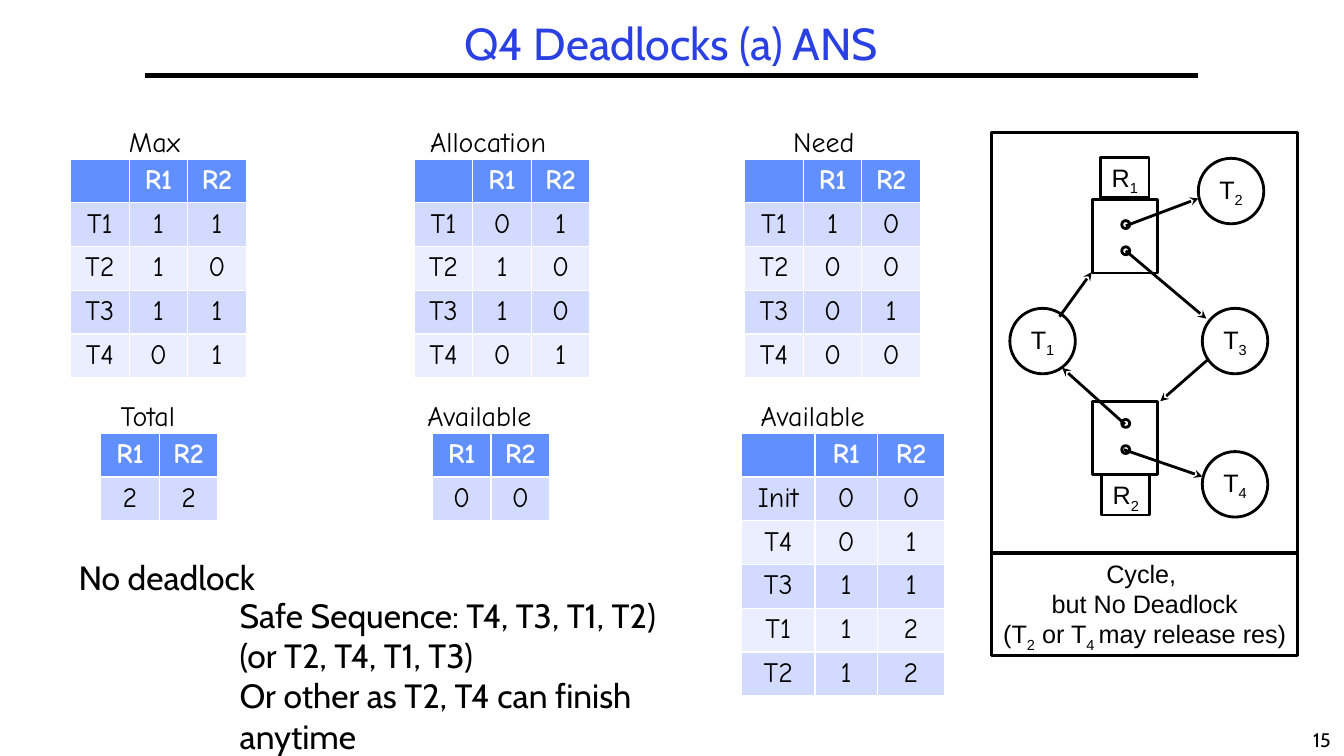
from lxml import etree
from pptx import Presentation
from pptx.dml.color import RGBColor
from pptx.enum.shapes import MSO_CONNECTOR, MSO_SHAPE
from pptx.enum.text import MSO_ANCHOR, PP_ALIGN
from pptx.oxml.ns import qn
from pptx.util import Cm, Pt

BLACK, WHITE, BLUE = "000000", "FFFFFF", "2A40E2"
HEAD, BANDS = "618FFD", ("D2DBFE", "EAEEFF")
HAND, SANS, PLAIN = "Comic Neue", "Cabin", "Arial"

TITLE = "Q4 Deadlocks (a) ANS"
ANSWER = "No deadlock"
ORDERS = [
    "Safe Sequence: T4, T3, T1, T2)",
    "(or T2, T4, T1, T3)",
    "Or other as T2, T4 can finish anytime",
]
CAPTION = ["Cycle, ", "but No Deadlock", "(T|2| or T|4 |may release res)"]

COL, TOP, LOW = 1.475, 4.01, 10.92
TABLES = [
    (1.78, TOP, 1.07, [COL] * 3,
     [" R1 R2", "T1 1 1", "T2 1 0", "T3 1 1", "T4 0 1"]),
    (10.44, TOP, 1.1, [COL] * 3,
     [" R1 R2", "T1 0 1", "T2 1 0", "T3 1 0", "T4 0 1"]),
    (18.77, TOP, 1.1, [COL] * 3,
     [" R1 R2", "T1 1 0", "T2 0 0", "T3 0 1", "T4 0 0"]),
    (2.54, LOW, 1.07, [COL] * 2, ["R1 R2", "2 2"]),
    (10.9, LOW, 1.1, [COL] * 2, ["R1 R2", "0 0"]),
    (18.69, LOW, 1.1, [1.85, 1.57, 1.7],
     [" R1 R2", "Init 0 0", "T4 0 1", "T3 1 1", "T1 1 2", "T2 1 2"]),
]
LABELS = [
    ("Max", 3.0, 3.02, 1.93), ("Allocation", 10.59, 3.02, 3.81),
    ("Need", 19.74, 3.02, 2.29), ("Total", 2.79, 9.91, 2.26),
    ("Available", 10.52, 9.91, 3.53), ("Available", 18.92, 9.91, 3.53),
]

FRAME, NOTE = (24.99, 3.33, 7.72, 10.59), (24.99, 13.94, 7.72, 2.57)
TASKS = [("T|1", 25.45, 7.77), ("T|2", 30.2, 3.99),
         ("T|3", 30.3, 7.77), ("T|4", 30.3, 11.38)]
STORES = [("R|1", 27.74, 3.96, 5.03, (5.56, 6.22)),
          ("R|2", 27.76, 11.96, 10.11, (10.57, 11.23))]
ARROWS = [
    (26.7, 7.98, 27.51, 6.86), (28.35, 10.69, 26.77, 9.27),
    (28.32, 11.33, 30.3, 12.01), (30.43, 9.07, 29.24, 10.11),
    (28.37, 6.32, 30.4, 8.03), (28.37, 5.69, 30.2, 5.0),
]

deck = Presentation()
deck.slide_width, deck.slide_height = Cm(33.87), Cm(19.05)
slide = deck.slides.add_slide(deck.slide_layouts[6])
shapes = slide.shapes


def paint(target, color):
    if hasattr(target, "solid"):
        target.solid()
        target.fore_color.rgb = RGBColor.from_string(color)
    else:
        target.rgb = RGBColor.from_string(color)


def write(frame, lines, face, size, color=BLACK, align=PP_ALIGN.CENTER, bold=False):
    for i, line in enumerate(lines):
        para = frame.add_paragraph() if i else frame.paragraphs[0]
        for j, part in enumerate(line.split("|")):
            if part:
                run = para.add_run()
                run.text = part
                if j % 2:
                    run._r.get_or_add_rPr().set("baseline", "-25000")
        para.alignment = align
        font = para.font
        font.name, font.size, font.bold = face, Pt(size), bold
        paint(font.color, color)


def label(lines, box, face, size, wrap=False, **look):
    frame = shapes.add_textbox(*map(Cm, box)).text_frame
    frame.word_wrap = wrap
    write(frame, lines, face, size, **look)
    return frame


def block(kind, box, lines=(), anchor=MSO_ANCHOR.MIDDLE):
    shape = shapes.add_shape(kind, *map(Cm, box))
    shape.shadow.inherit = False
    paint(shape.fill, WHITE)
    paint(shape.line.color, BLACK)
    shape.line.width = Pt(2)
    frame = shape.text_frame
    frame.word_wrap = False
    frame.vertical_anchor = anchor
    write(frame, lines, PLAIN, 18)


def link(ends, width, arrow=True):
    line = shapes.add_connector(MSO_CONNECTOR.STRAIGHT, *map(Cm, ends))
    paint(line.line.color, BLACK)
    line.line.width = Pt(width)
    props = line._element.spPr
    if arrow:
        etree.SubElement(props.find(qn("a:ln")), qn("a:tailEnd"), type="stealth")
    etree.SubElement(props, qn("a:effectLst"))


def grid(left, top, high, widths, rows):
    table = shapes.add_table(len(rows), len(widths), Cm(left), Cm(top),
                             Cm(sum(widths)), Cm(high * len(rows))).table
    for col, width in zip(table.columns, widths):
        col.width = Cm(width)
    for r, row in enumerate(rows):
        table.rows[r].height = Cm(high)
        for c, text in enumerate(row.split(" ")):
            cell = table.cell(r, c)
            paint(cell.fill, BANDS[(r - 1) % 2] if r else HEAD)
            write(cell.text_frame, [text], HAND, 20,
                  BLACK if r else WHITE, bold=not r)


label(["15"], (32.77, 18.21, 1.09, 0.84), SANS, 14)
link((3.66, 1.9, 30.2, 1.9), 3, arrow=False)
title = label([TITLE], (3.66, 0.43, 26.52, 1.47), SANS, 32, wrap=True, color=BLUE)
title.vertical_anchor = MSO_ANCHOR.MIDDLE
title.paragraphs[0].line_spacing = 0.9

for table in TABLES:
    grid(*table)
for text, left, top, width in LABELS:
    label([text], (left, top, width, 1.12), HAND, 20, align=PP_ALIGN.LEFT)
label([ANSWER], (1.73, 13.92, 5.26, 1.27), SANS, 24, align=PP_ALIGN.LEFT)
label(ORDERS, (5.79, 14.86, 13.21, 3.33), SANS, 24, wrap=True, align=PP_ALIGN.LEFT)

block(MSO_SHAPE.RECTANGLE, FRAME)
for name, left, top in TASKS:
    block(MSO_SHAPE.OVAL, (left, top, 1.65, 1.65), [name])
for name, left, top, store, dots in STORES:
    block(MSO_SHAPE.RECTANGLE, (27.53, store, 1.65, 1.85))
    for dot in dots:
        block(MSO_SHAPE.OVAL, (28.27, dot, 0.2, 0.2))
    block(MSO_SHAPE.RECTANGLE, (left, top, 1.22, 1.02), [name], MSO_ANCHOR.TOP)
for ends in ARROWS:
    link(ends, 2)
block(MSO_SHAPE.RECTANGLE, NOTE, CAPTION, MSO_ANCHOR.TOP)

deck.save("out.pptx")
